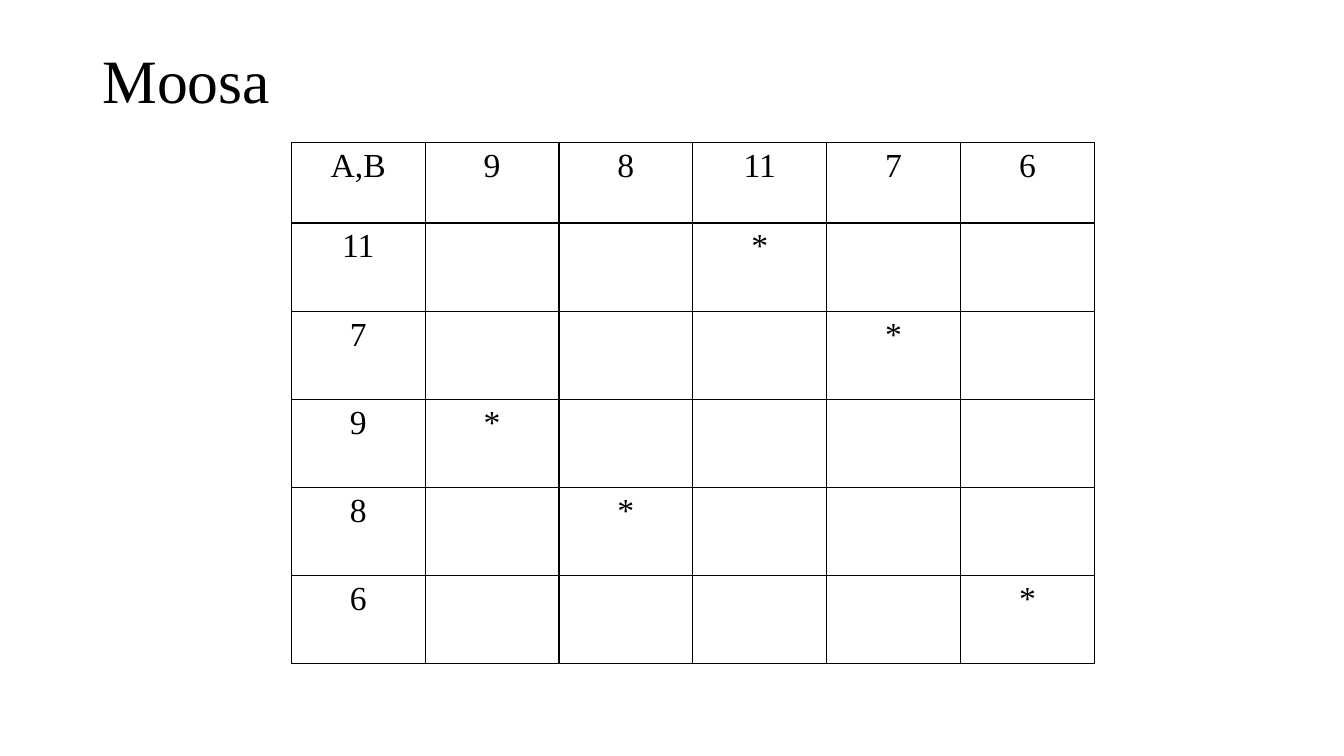
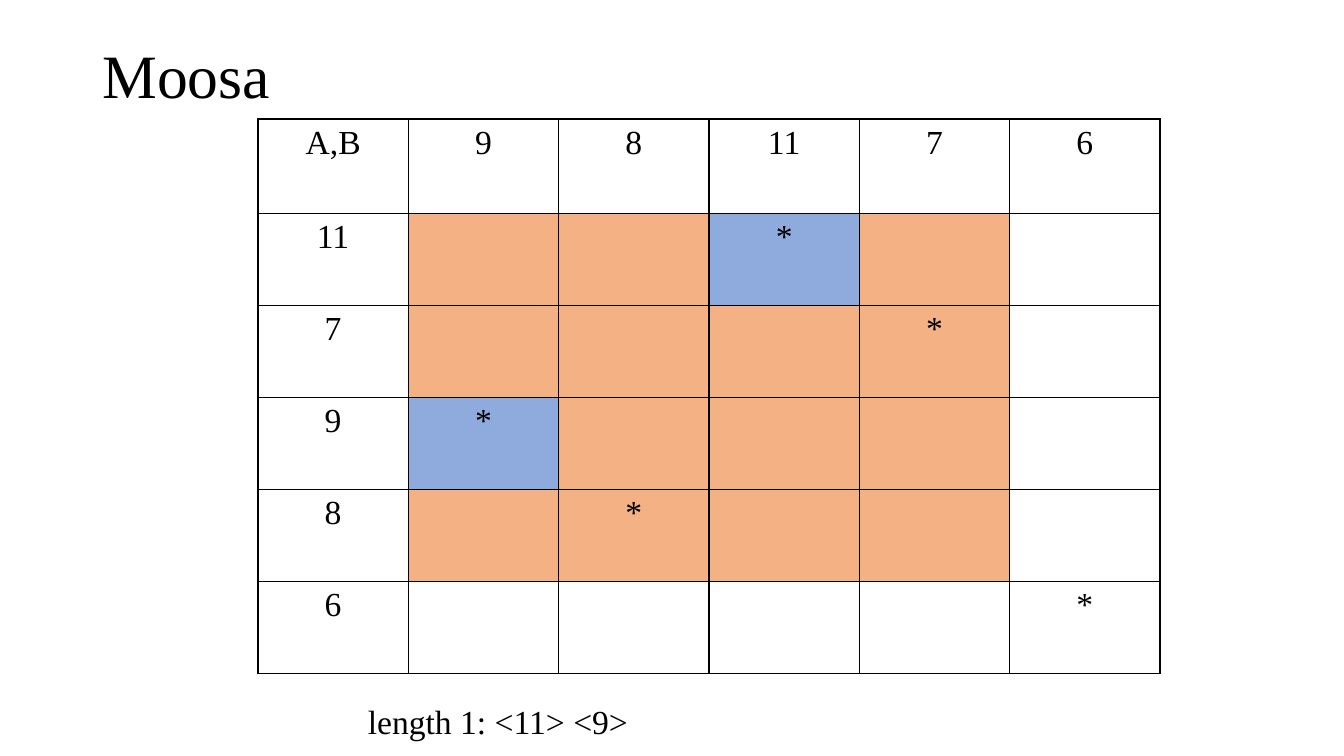
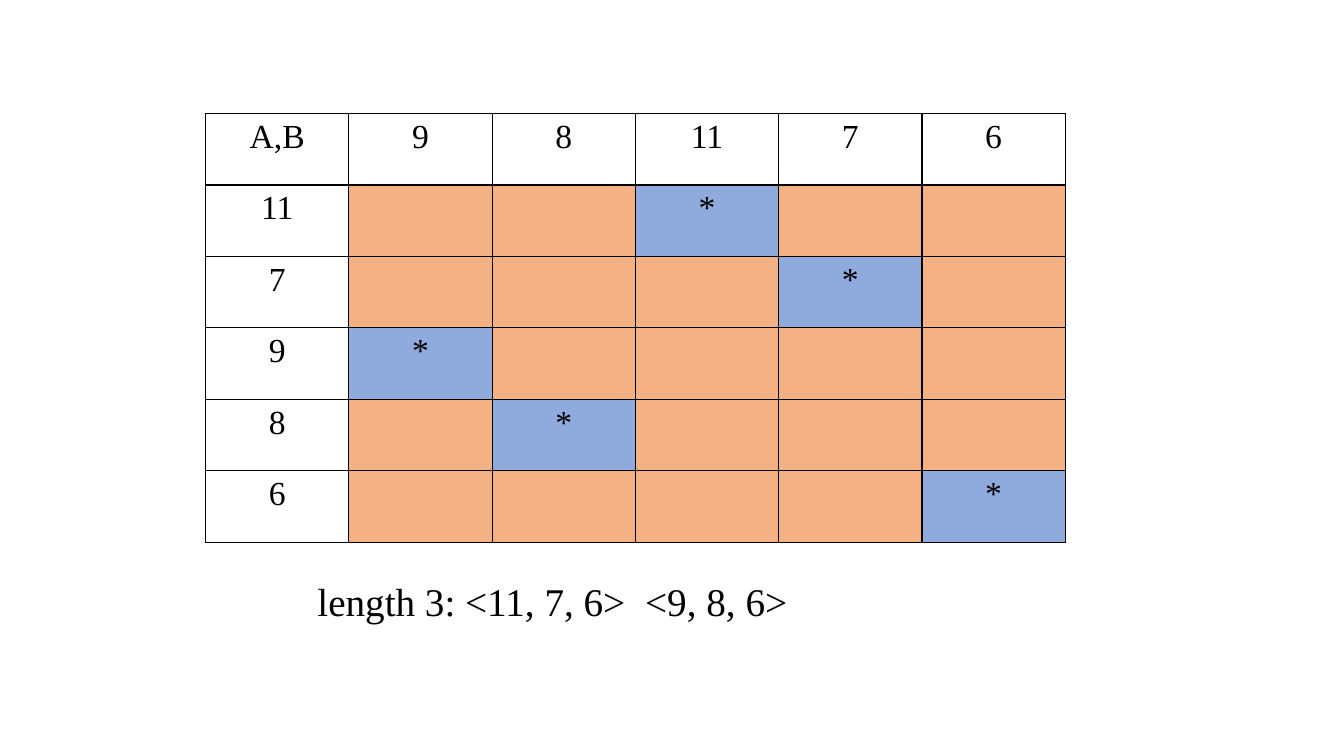
from lxml.etree import SubElement
from pptx import Presentation
from pptx.dml.color import RGBColor
from pptx.enum.text import PP_ALIGN
from pptx.oxml.ns import qn
from pptx.util import Cm, Pt

COLUMN_VALUES = [9, 8, 11, 7, 6]
ROW_VALUES = [11, 7, 9, 8, 6]


def color(hex_text):
    return RGBColor.from_string(hex_text)


class Deck:
    """Holds the shared style and the current slide."""

    FONT = "Times New Roman"
    BLACK = "000000"
    REACHED = "F4B183"
    CHOSEN = "8FAADC"

    def __init__(self):
        self.presentation = Presentation()
        self.presentation.slide_width = Cm(33.87)
        self.presentation.slide_height = Cm(19.05)
        self.slide = None

    def new_slide(self):
        layout = self.presentation.slide_layouts[6]
        self.slide = self.presentation.slides.add_slide(layout)

    def add_run(self, paragraph, text, size):
        run = paragraph.add_run()
        run.text = text
        run.font.name = self.FONT
        run.font.size = Pt(size)
        run.font.color.rgb = color(self.BLACK)

    def text_box(self, left, top, width, height):
        shape = self.slide.shapes.add_textbox(
            Cm(left), Cm(top), Cm(width), Cm(height))
        shape.text_frame.word_wrap = True
        return shape.text_frame

    def title(self, text, top):
        frame = self.text_box(2.33, top, 29.21, 3.68)
        frame.margin_top = Cm(0.24)
        paragraph = frame.paragraphs[0]
        paragraph.line_spacing = 0.9
        self.add_run(paragraph, text, 44)

    def caption(self, text, left, top, width, size, tab=None):
        frame = self.text_box(left, top, width, size * 0.053)
        paragraph = frame.paragraphs[0]
        if tab:
            tabs = SubElement(paragraph._p.get_or_add_pPr(), qn("a:tabLst"))
            SubElement(tabs, qn("a:tab"), pos=str(Cm(tab)), algn="l")
        self.add_run(paragraph, text, size)

    def border(self, cell):
        properties = cell._tc.get_or_add_tcPr()
        for side in ("lnL", "lnR", "lnT", "lnB"):
            line = SubElement(properties, qn(f"a:{side}"), w=str(Pt(1)))
            fill = SubElement(line, qn("a:solidFill"))
            SubElement(fill, qn("a:srgbClr"), val=self.BLACK)

    def cell(self, cell, text, fill):
        self.border(cell)
        if fill:
            cell.fill.solid()
            cell.fill.fore_color.rgb = color(fill)
        else:
            cell.fill.background()
        paragraph = cell.text_frame.paragraphs[0]
        paragraph.alignment = PP_ALIGN.CENTER
        if text:
            self.add_run(paragraph, text, 24)

    def match_table(self, left, top, width, header_height, row_height,
                    reach=0, chosen=()):
        """Star equal values; shade the first `reach` rows and columns."""
        row_count, column_count = len(ROW_VALUES) + 1, len(COLUMN_VALUES) + 1
        height = header_height + row_height * len(ROW_VALUES)
        table = self.slide.shapes.add_table(
            row_count, column_count,
            Cm(left), Cm(top), Cm(width), Cm(height)).table
        table.first_row = table.horz_banding = False
        for column in table.columns:
            column.width = Cm(width / column_count)
        for index, row in enumerate(table.rows):
            row.height = Cm(row_height if index else header_height)

        # Header row and header column
        self.cell(table.cell(0, 0), "A,B", None)
        for index, value in enumerate(COLUMN_VALUES, 1):
            self.cell(table.cell(0, index), str(value), None)
        for index, value in enumerate(ROW_VALUES, 1):
            self.cell(table.cell(index, 0), str(value), None)

        # Matches
        for i, row_value in enumerate(ROW_VALUES, 1):
            for j, column_value in enumerate(COLUMN_VALUES, 1):
                match = row_value == column_value
                fill = self.REACHED if max(i, j) <= reach else None
                if match and row_value in chosen:
                    fill = self.CHOSEN
                self.cell(table.cell(i, j), "*" if match else "", fill)


def main():
    deck = Deck()

    # Matching values
    deck.new_slide()
    deck.match_table(7.34, 3.6, 20.24, 2.02, 2.22)
    deck.title("Moosa", 1.02)

    # Subsequences of length 1
    deck.new_slide()
    deck.match_table(6.5, 3, 22.74, 2.37, 2.32, reach=4, chosen=(11, 9))
    deck.caption("length 1: <11> <9>", 9.02, 17.53, 11.33, 24)
    deck.title("Moosa", 0.9)

    # Subsequences of length 3
    deck.new_slide()
    deck.match_table(5.18, 2.86, 21.67, 1.8, 1.8, reach=5, chosen=ROW_VALUES)
    deck.caption("length 3: <11, 7, 6>\t<9, 8, 6>", 7.75, 14.43, 16, 28,
                 tab=8.26)

    deck.presentation.save("out.pptx")


if __name__ == "__main__":
    main()
